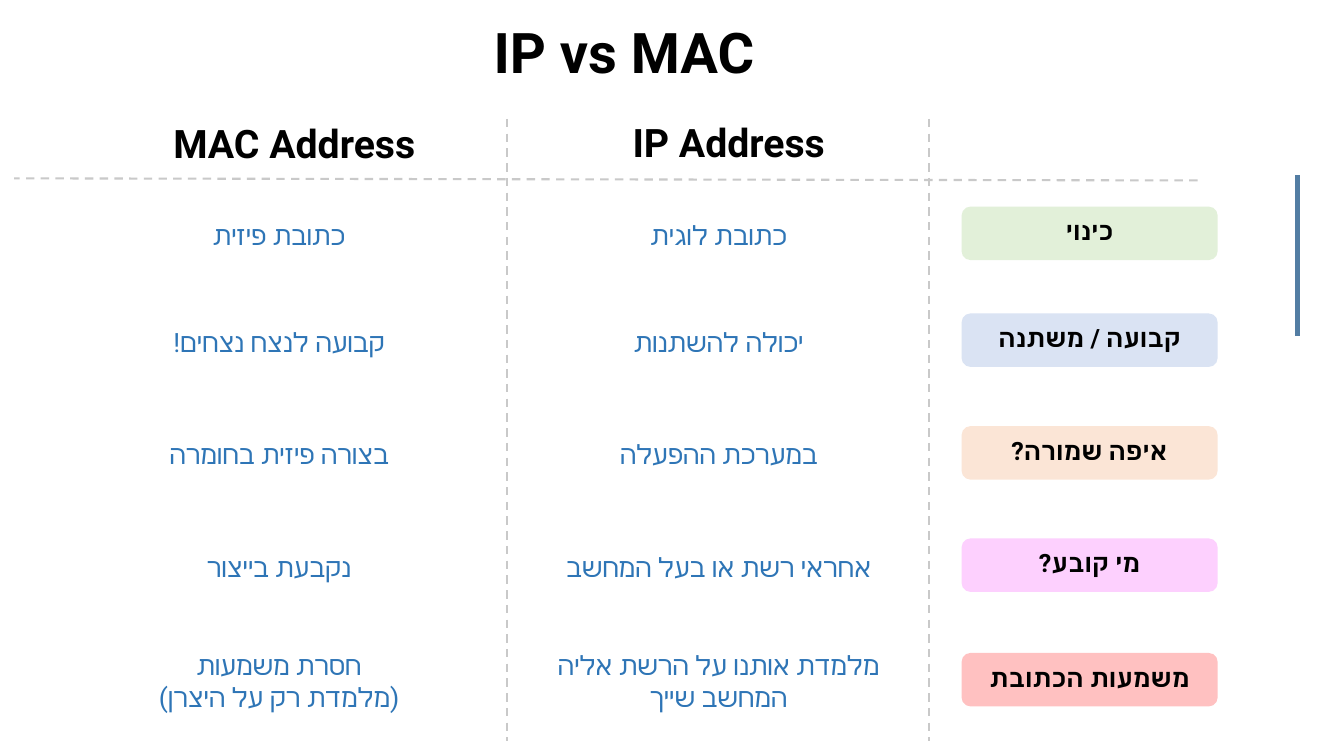
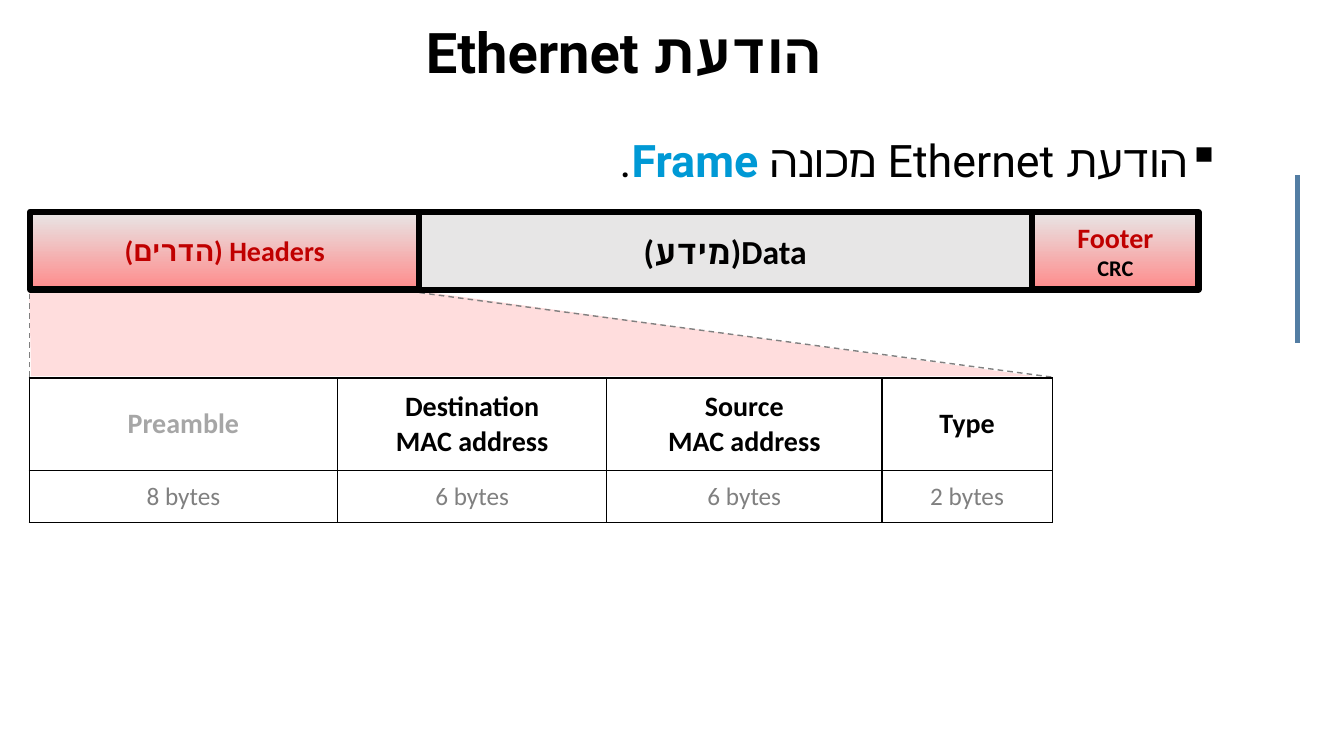
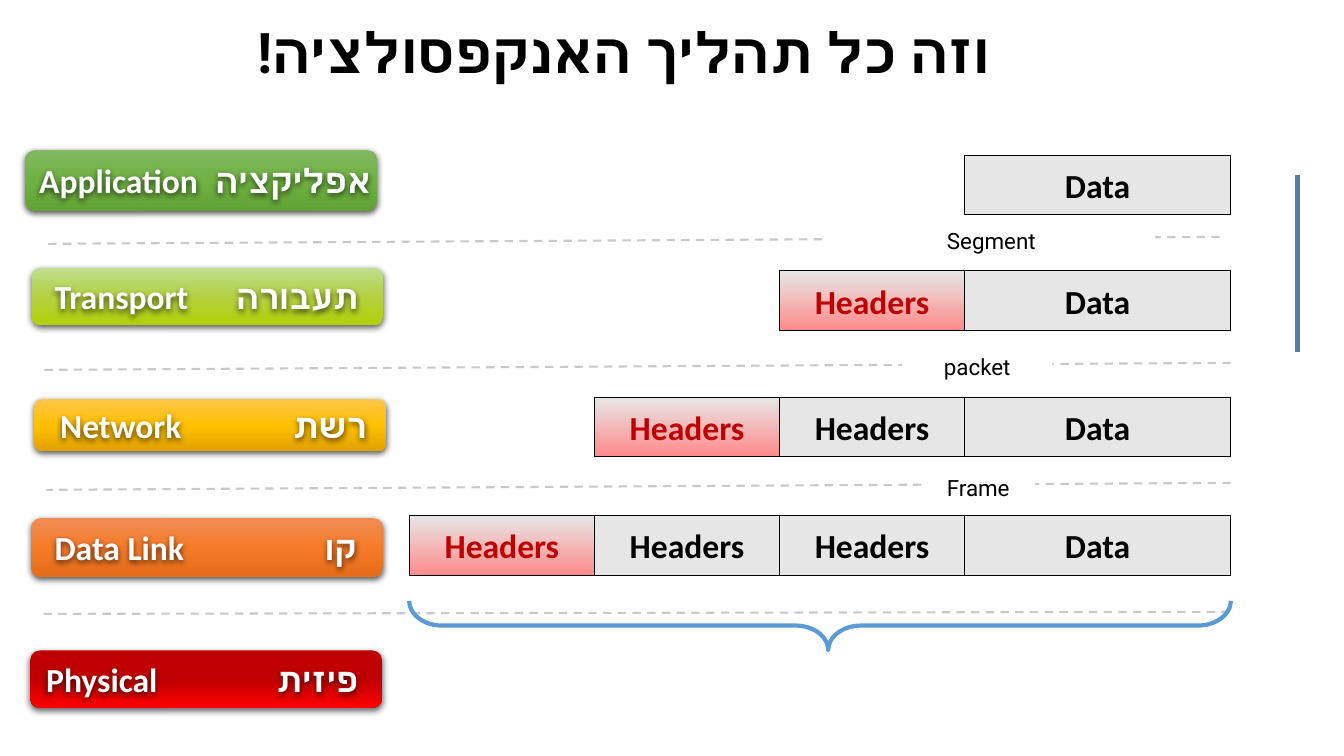
"""Builds three slides on MAC addresses, Ethernet frames and encapsulation."""
from dataclasses import dataclass, replace
from typing import NamedTuple

from lxml import etree
from pptx import Presentation
from pptx.dml.color import RGBColor
from pptx.enum import dml, shapes, text
from pptx.oxml.ns import qn
from pptx.util import Pt

BLACK = RGBColor(0x00, 0x00, 0x00)
WHITE = RGBColor(0xFF, 0xFF, 0xFF)
BLUE = RGBColor(0x2E, 0x75, 0xB6)
STEEL = RGBColor(0x53, 0x7D, 0xA3)
BRACE = RGBColor(0x5B, 0x9B, 0xD5)
CYAN = RGBColor(0x00, 0x99, 0xD5)
DASH = RGBColor(0xC9, 0xC9, 0xC9)
GREY = RGBColor(0x80, 0x80, 0x80)
PALE = RGBColor(0xA6, 0xA6, 0xA6)
LIGHT = RGBColor(0xE7, 0xE6, 0xE6)
RED = RGBColor(0xC0, 0x00, 0x00)
PINK = RGBColor(0xFF, 0xDD, 0xDD)
ROSE = (LIGHT, RGBColor(0xFF, 0x8B, 0x8B))

ALIGN = text.PP_ALIGN
RECT = shapes.MSO_SHAPE.RECTANGLE
ROUND = shapes.MSO_SHAPE.ROUNDED_RECTANGLE


class Box(NamedTuple):
    """Left, top, width and height in points."""
    x: float
    y: float
    w: float
    h: float


@dataclass(frozen=True)
class Style:
    """Look of a run and of the paragraph and frame around it."""
    size: float
    color: RGBColor = BLACK
    bold: bool = True
    font: str = "Roboto"
    rtl: bool = True
    align: ALIGN = ALIGN.CENTER
    side: float = 7.2
    top: float = 0
    base: float = 3.6


@dataclass(frozen=True)
class Row:
    """One line of the address comparison."""
    y: float
    fill: RGBColor
    name: str
    ip: str
    mac: str


@dataclass(frozen=True)
class Layer:
    """One network layer button, with the edges of its two words."""
    box: Box
    stops: tuple
    word: str
    left: float
    term: str
    right: float


@dataclass(frozen=True)
class Gap:
    """Dashed divider between layers with an optional unit name."""
    start: tuple
    end: tuple
    name: str = ""
    box: Box = Box(0, 0, 0, 0)


HEAD = Style(40, top=3.6)
TOPIC = Style(28)
LABEL = Style(18)
VALUE = Style(19, BLUE, bold=False)
UNIT = Style(16, bold=False)
BODY = Style(32, bold=False, align=ALIGN.RIGHT, top=3.6)
FIELD = Style(24, font="Calibri", rtl=False, top=3.6)
PART = replace(FIELD, size=20)
TERM = Style(24, WHITE, font="Calibri", align=ALIGN.RIGHT, side=0, top=3.6)
WORD = replace(TERM, rtl=False, align=ALIGN.LEFT)

ROWS = (
    Row(147.6, RGBColor(0xE2, 0xF0, 0xD9), "כינוי", "כתובת לוגית", "כתובת פיזית"),
    Row(223.9, RGBColor(0xDA, 0xE3, 0xF3), "קבועה / משתנה", "יכולה להשתנות",
        "קבועה לנצח נצחים!"),
    Row(304.4, RGBColor(0xFB, 0xE5, 0xD6), "איפה שמורה?", "במערכת ההפעלה",
        "בצורה פיזית בחומרה"),
    Row(384.6, RGBColor(0xFD, 0xD0, 0xFE), "מי קובע?", "אחראי רשת או בעל המחשב",
        "נקבעת בייצור"),
    Row(466.4, RGBColor(0xFF, 0xC1, 0xC1), "משמעות הכתובת",
        "מלמדת אותנו על הרשת אליה המחשב שייך", "חסרת משמעות\n(מלמדת רק על היצרן)"),
)

LAYERS = (
    Layer(Box(18, 107.3, 251.3, 43.2),
          (RGBColor(0x81, 0xB8, 0x61), RGBColor(0x6F, 0xB2, 0x42), RGBColor(0x62, 0xA3, 0x36)),
          "Application", 28, "אפליקציה", 265),
    Layer(Box(22.5, 191.3, 251.3, 41),
          (RGBColor(0xC0, 0xDE, 0x8E), RGBColor(0xB3, 0xD1, 0x43), RGBColor(0xB3, 0xD0, 0x06)),
          "Transport", 39, "תעבורה", 256),
    Layer(Box(24.5, 285.1, 251.3, 37.4),
          (RGBColor(0xFF, 0xC6, 0x4B), RGBColor(0xFF, 0xC0, 0x00), RGBColor(0xE1, 0xA1, 0x01)),
          "Network", 43, "רשת", 262),
    Layer(Box(22.3, 370.1, 251.3, 41.8),
          (RGBColor(0xF1, 0x8C, 0x57), RGBColor(0xF6, 0x7B, 0x28), RGBColor(0xE5, 0x6C, 0x19)),
          "Data Link", 39, "קו", 255),
    Layer(Box(21.6, 464.6, 251.3, 41),
          (RED, RED, RGBColor(0xFF, 0x00, 0x00)), "Physical", 33, "פיזית", 256),
)

GAPS = (
    Gap((871.2, 169.2), (31, 174.2), "Segment", Box(591.1, 161.3, 234, 24.5)),
    Gap((879.1, 259.2), (31.7, 264.2), "packet", Box(644.4, 251.3, 107.3, 24.5)),
    Gap((879.1, 344.9), (33.1, 349.9), "Frame", Box(658.1, 337.7, 81.4, 24.5)),
    Gap((878.4, 437), (30.2, 438.5)),
)

COLS = (
    (220.3, "Preamble", "8 bytes", PALE),
    (192.2, "Destination\nMAC address", "6 bytes", BLACK),
    (196.6, "Source\nMAC address", "6 bytes", BLACK),
    (121.7, "Type", "2 bytes", BLACK),
)


def place(box: Box) -> list:
    """Return the box as lengths."""
    return [Pt(v) for v in box]


def add_run(para, words: str, style: Style) -> None:
    """Add one run per line of words."""
    for i, line in enumerate(words.split("\n")):
        if i:
            para.add_line_break()
        if not line:
            continue
        run = para.add_run()
        run.text = line
        font = run.font
        font.size, font.bold, font.name = Pt(style.size), style.bold, style.font
        font.color.rgb = style.color
        etree.SubElement(run._r.get_or_add_rPr(), qn("a:cs"), typeface=style.font)


def write(frame, style: Style, *runs: tuple) -> None:
    """Write one paragraph made of (words, style) runs."""
    frame.word_wrap = True
    frame.vertical_anchor = text.MSO_ANCHOR.MIDDLE
    frame.margin_left = frame.margin_right = Pt(style.side)
    frame.margin_top, frame.margin_bottom = Pt(style.top), Pt(style.base)
    para = frame.paragraphs[0]
    para.alignment = style.align
    if style.rtl:
        para._p.get_or_add_pPr().set("rtl", "1")
    for words, look in runs:
        add_run(para, words, look)


def paint(shape, fill) -> None:
    """Fill with nothing, one colour or a top-down gradient."""
    if fill is None:
        shape.fill.background()
    elif isinstance(fill, RGBColor):
        shape.fill.solid()
        shape.fill.fore_color.rgb = fill
    else:
        shape.fill.gradient()
        shape.fill.gradient_angle = 270
        stops = shape._element.spPr.find(".//" + qn("a:gsLst"))
        for stop in list(stops):
            stops.remove(stop)
        for i, color in enumerate(fill):
            stop = etree.SubElement(stops, qn("a:gs"), pos=str(100000 * i // (len(fill) - 1)))
            etree.SubElement(stop, qn("a:srgbClr"), val=str(color))


def finish(shape, fill=None, line=None, width: float = 0.75, glow: bool = False) -> None:
    """Set fill, outline and shadow of a shape."""
    shape.shadow.inherit = False
    paint(shape, fill)
    if line is None:
        shape.line.fill.background()
    else:
        shape.line.color.rgb = line
        shape.line.width = Pt(width)
    if glow:
        effects = shape._element.spPr.find(qn("a:effectLst"))
        shade = etree.SubElement(effects, qn("a:outerShdw"), blurRad=str(Pt(4.5)),
                                 dist=str(Pt(1.5)), dir="5400000", rotWithShape="0")
        color = etree.SubElement(shade, qn("a:srgbClr"), val=str(BLACK))
        etree.SubElement(color, qn("a:alpha"), val="63000")


def add_box(slide, kind, box: Box, style: Style, *runs: tuple, **look):
    """Add a preset shape with text."""
    shape = slide.shapes.add_shape(kind, *place(box))
    finish(shape, **look)
    if runs:
        write(shape.text_frame, style, *runs)
    return shape


def add_line(slide, start: tuple, end: tuple, color: RGBColor = DASH,
             width: float = 1.5, dashed: bool = True) -> None:
    """Add a straight line."""
    line = slide.shapes.add_connector(shapes.MSO_CONNECTOR.STRAIGHT,
                                      *[Pt(v) for v in start + end])
    line.line.color.rgb = color
    line.line.width = Pt(width)
    if dashed:
        line.line.dash_style = dml.MSO_LINE.DASH
    etree.SubElement(line._element.spPr, qn("a:effectLst"))


def start(deck, title: str, foot: float):
    """Add a slide with its title and side bar."""
    slide = deck.slides.add_slide(deck.slide_layouts[5])
    head = slide.shapes.title
    head.left, head.top, head.width, head.height = place(Box(12.2, 2.9, 866.9, 73.4))
    write(head.text_frame, HEAD, (title, HEAD))
    head.text_frame.paragraphs[0].line_spacing = 0.9
    add_line(slide, (926.6, 125.3), (926.6, foot), STEEL, 3.5, False)
    return slide


def compare(deck) -> None:
    """Build the address comparison."""
    slide = start(deck, "IP vs MAC", 239.8)
    for x, y, name in ((75.6, 85, "MAC Address"), (385.9, 84.2, "IP Address")):
        add_box(slide, ROUND, Box(x, y, 269.3, 38.2), TOPIC, (name, TOPIC))
    for row in ROWS:
        add_box(slide, ROUND, Box(686.9, row.y, 182.9, 38.2), LABEL,
                (row.name, LABEL), fill=row.fill)
        for x, w, words in ((373, 280.8, row.ip), (43.9, 311, row.mac)):
            add_box(slide, ROUND, Box(x, row.y - 5.4, w, 54.7), VALUE,
                    (words, VALUE), fill=WHITE)
    for x in (362.2, 663.8):
        add_line(slide, (x, 85), (x, 529.2))
    add_line(slide, (855.4, 128.9), (10.1, 127.4))


def add_grid(slide) -> None:
    """Add the table of header fields."""
    frame = slide.shapes.add_table(2, len(COLS), *place(Box(20.9, 270, 730.8, 103)))
    table = frame.table
    table.first_row = table.horz_banding = False
    for row, high in zip(table.rows, (66.2, 36.8)):
        row.height = Pt(high)
    size = replace(FIELD, size=18, color=GREY, bold=False)
    for i, (wide, name, count, color) in enumerate(COLS):
        table.columns[i].width = Pt(wide)
        for j, (words, style) in enumerate(((name, replace(PART, color=color)), (count, size))):
            cell = table.cell(j, i)
            props = cell._tc.get_or_add_tcPr()
            for tag in ("a:lnL", "a:lnR", "a:lnT", "a:lnB"):
                edge = etree.SubElement(props, qn(tag), w=str(Pt(1)))
                solid = etree.SubElement(edge, qn("a:solidFill"))
                etree.SubElement(solid, qn("a:srgbClr"), val=str(BLACK))
            cell.fill.solid()
            cell.fill.fore_color.rgb = WHITE
            cell.vertical_anchor = text.MSO_ANCHOR.MIDDLE
            para = cell.text_frame.paragraphs[0]
            para.alignment = style.align
            add_run(para, words, style)


def add_point(slide) -> None:
    """Add the bulleted sentence."""
    frame = slide.shapes.add_textbox(*place(Box(12.2, 91.4, 866.9, 50))).text_frame
    para = frame.paragraphs[0]
    props = para._p.get_or_add_pPr()
    props.set("marL", str(Pt(23)))
    props.set("indent", str(-Pt(23)))
    etree.SubElement(props, qn("a:buChar"), char="▪")
    write(frame, BODY, ("הודעת Ethernet מכונה ", BODY),
          ("Frame", replace(BODY, color=CYAN, bold=True)), (".", BODY))
    para.line_spacing = 0.9


def ethernet(deck) -> None:
    """Build the frame layout."""
    slide = start(deck, "הודעת Ethernet", 244.8)
    add_point(slide)
    edge = {"line": BLACK, "width": 4.5}
    red = replace(PART, color=RED)
    add_box(slide, RECT, Box(737.3, 151.4, 118.8, 55.4), PART, ("Footer\n", red),
            ("CRC", replace(PART, size=16)), fill=ROSE, **edge)
    cone = slide.shapes.build_freeform(Pt(20.9), Pt(206.6))
    cone.add_line_segments([(Pt(x), Pt(y)) for x, y in
                            ((22.3, 268.6), (738.7, 268.6), (285.1, 205.9))])
    finish(cone.convert_to_shape(), PINK)
    for low, high in ((20.9, 20.9), (751, 287.3)):
        add_line(slide, (low, 269.3), (high, 207.4), GREY, 1)
    add_box(slide, RECT, Box(298.8, 151.6, 438.5, 55.4), FIELD,
            ("(מידע)Data", FIELD), fill=LIGHT, **edge)
    add_box(slide, RECT, Box(21.6, 151.4, 277.9, 55.4), PART,
            ("(הדרים) Headers", red), fill=ROSE, **edge)
    add_grid(slide)


def wrapping(deck) -> None:
    """Build the encapsulation stack."""
    slide = start(deck, "וזה כל תהליך האנקפסולציה!", 251.3)
    for item in LAYERS:
        box = item.box
        add_box(slide, ROUND, box, WORD, fill=item.stops, glow=True)
        for x, words, style in ((item.left, item.word, WORD),
                                (item.right - 125, item.term, TERM)):
            add_box(slide, RECT, Box(x, box.y, 125, box.h), style, (words, style), glow=True)
    for gap in GAPS:
        add_line(slide, gap.start, gap.end)
    wide, left = 132.2, 689
    for count, y in enumerate((110.9, 193.5, 283.7, 368.4)):
        add_box(slide, RECT, Box(left, y, 190, 42.5), FIELD, ("Data", FIELD),
                fill=LIGHT, line=BLACK)
        for i in range(1, count + 1):
            fresh = i == count
            style = replace(FIELD, color=RED) if fresh else FIELD
            add_box(slide, RECT, Box(left - wide * i, y, wide, 42.5), style,
                    ("Headers", style), fill=ROSE if fresh else LIGHT, line=BLACK)
    brace = add_box(slide, shapes.MSO_SHAPE.LEFT_BRACE, Box(568.1, 153.4, 35.3, 586.8),
                    FIELD, line=BRACE, width=3)
    brace.rotation = 270
    brace.adjustments[0], brace.adjustments[1] = 0.66, 0.51
    for gap in GAPS:
        if gap.name:
            add_box(slide, ROUND, gap.box, UNIT, (gap.name, UNIT), fill=WHITE)


def main() -> None:
    """Build and save the deck."""
    deck = Presentation()
    deck.slide_width, deck.slide_height = Pt(960), Pt(540)
    for build in (compare, ethernet, wrapping):
        build(deck)
    deck.save("out.pptx")


if __name__ == "__main__":
    main()
